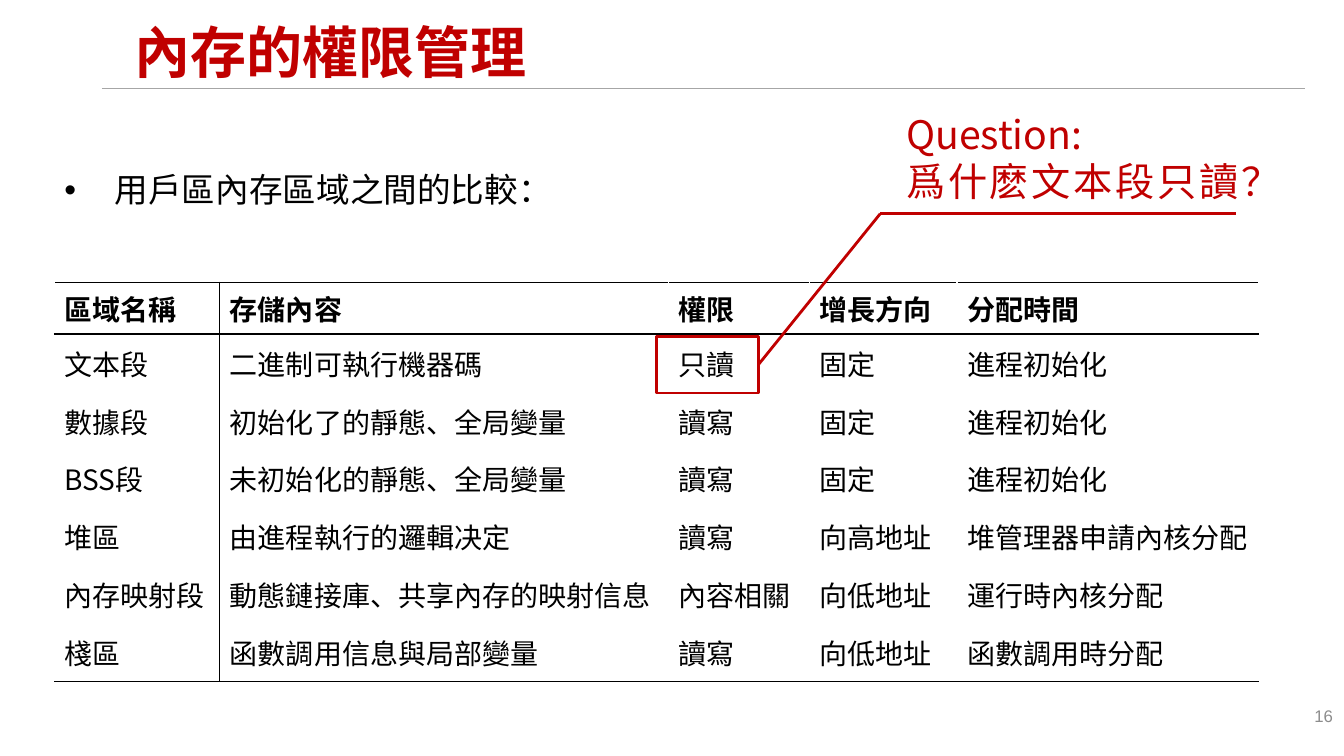
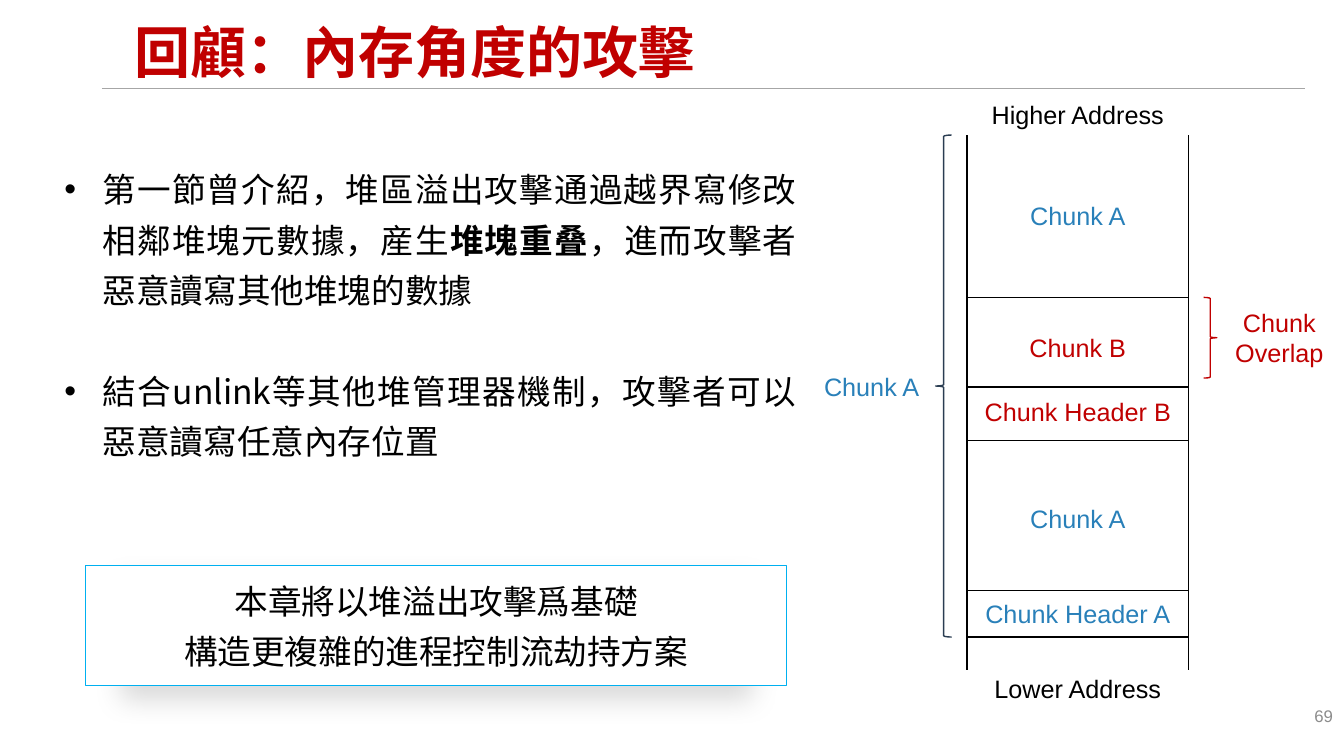
from dataclasses import dataclass

from lxml.etree import SubElement
from pptx import Presentation
from pptx.dml.color import RGBColor
from pptx.enum.lang import MSO_LANGUAGE_ID
from pptx.enum.shapes import MSO_CONNECTOR, MSO_SHAPE
from pptx.enum.text import MSO_ANCHOR, PP_ALIGN
from pptx.oxml.ns import qn
from pptx.util import Inches, Pt

BLACK = RGBColor(0x00, 0x00, 0x00)
WHITE = RGBColor(0xFF, 0xFF, 0xFF)
RED = RGBColor(0xC0, 0x00, 0x00)
BLUE = RGBColor(0x29, 0x80, 0xB9)
NAVY = RGBColor(0x2A, 0x3D, 0x52)
CYAN = RGBColor(0x00, 0xB0, 0xF0)
RULE_GRAY = RGBColor(0xA6, 0xA6, 0xA6)
NUMBER_GRAY = RGBColor(0x8C, 0x8C, 0x8C)

CJK_FONT = "Noto Sans CJK SC"
LATIN_FONT = "Arial"
BODY_SIZE = 24
BODY_SPACING = Pt(36)


@dataclass(frozen=True)
class Box:
    """A region in inches; its portions are given in percent of it."""
    left: float
    top: float
    width: float
    height: float

    def x(self, percent):
        return self.left + self.width * percent / 100

    def y(self, percent):
        return self.top + self.height * percent / 100

    def portion(self, left, top, width, height):
        return Box(self.x(left), self.y(top),
                   self.width * width / 100, self.height * height / 100)

    def emu(self):
        return [Inches(length) for length in
                (self.left, self.top, self.width, self.height)]


PAGE = Box(0, 0, 13.33, 7.5)

REGION_ROWS = [
    ["區域名稱", "存儲內容", "權限", "增長方向", "分配時間"],
    ["文本段", "二進制可執行機器碼", "只讀", "固定", "進程初始化"],
    ["數據段", "初始化了的靜態、全局變量", "讀寫", "固定", "進程初始化"],
    ["BSS段", "未初始化的靜態、全局變量", "讀寫", "固定", "進程初始化"],
    ["堆區", "由進程執行的邏輯决定", "讀寫", "向高地址", "堆管理器申請內核分配"],
    ["內存映射段", "動態鏈接庫、共享內存的映射信息", "內容相關", "向低地址", "運行時內核分配"],
    ["棧區", "函數調用信息與局部變量", "讀寫", "向低地址", "函數調用時分配"],
]
COLUMN_WIDTHS = [1.64, 4.45, 1.4, 1.46, 2.99]
HEADER_SHARE = 0.13

# Percent of the memory column's height
DIVIDERS = [30.32, 47.08, 57.06, 85.12, 93.79]
MEMORY_LABELS = [
    ("Higher Address", -3.95, BLACK),
    ("Chunk A", 15.07, BLUE),
    ("Chunk B", 39.74, RED),
    ("Chunk Header B", 51.6, RED),
    ("Chunk A", 71.56, BLUE),
    ("Chunk Header A", 89.45, BLUE),
    ("Lower Address", 103.39, BLACK),
]


def format_run(run, size, color, font_name, bold):
    font = run.font
    font.size = Pt(size)
    font.bold = bold
    font.color.rgb = color
    font.name = font_name
    if font_name == CJK_FONT:
        font.language_id = MSO_LANGUAGE_ID.SIMPLIFIED_CHINESE
        SubElement(run._r.get_or_add_rPr(), qn("a:ea"), typeface=font_name)


def set_bullet(paragraph, indent):
    properties = paragraph._p.get_or_add_pPr()
    properties.set("marL", str(Inches(indent)))
    properties.set("indent", str(-Inches(indent)))
    SubElement(properties, qn("a:buFont"), typeface=LATIN_FONT)
    SubElement(properties, qn("a:buChar"), char="•")


def write(frame, paragraphs, size, color=BLACK, font_name=CJK_FONT, bold=False,
          align=PP_ALIGN.LEFT, spacing=None, bullet_indent=None, gap=0):
    """Fill a frame; each paragraph is a string or a list of (text, bold)."""
    frame.word_wrap = True
    for index, content in enumerate(paragraphs):
        paragraph = frame.add_paragraph() if index else frame.paragraphs[0]
        if bullet_indent:
            set_bullet(paragraph, bullet_indent)
        paragraph.alignment = align
        if spacing:
            paragraph.line_spacing = spacing
        if index and gap:
            paragraph.space_before = gap
        pieces = [(content, bold)] if isinstance(content, str) else content
        for text, piece_bold in pieces:
            run = paragraph.add_run()
            run.text = text
            format_run(run, size, color, font_name, piece_bold)


def add_text(slide, box, paragraphs, size, anchor=MSO_ANCHOR.TOP, **style):
    frame = slide.shapes.add_textbox(*box.emu()).text_frame
    frame.vertical_anchor = anchor
    write(frame, paragraphs, size, **style)


def add_line(slide, start, end, color=BLACK, width=1):
    connector = slide.shapes.add_connector(
        MSO_CONNECTOR.STRAIGHT, *[Inches(length) for length in (*start, *end)])
    connector.line.color.rgb = color
    connector.line.width = Pt(width)
    SubElement(connector._element.spPr, qn("a:effectLst"))


def add_outline(slide, preset, box, color, width, fill=None):
    shape = slide.shapes.add_shape(preset, *box.emu())
    shape.shadow.inherit = False
    shape.line.color.rgb = color
    shape.line.width = Pt(width)
    if fill is None:
        shape.fill.background()
    else:
        shape.fill.solid()
        shape.fill.fore_color.rgb = fill
    return shape


def add_soft_shadow(shape):
    effects = shape._element.spPr.find(qn("a:effectLst"))
    shadow = SubElement(effects, qn("a:outerShdw"), blurRad=str(Pt(20)),
                        dist=str(Pt(10)), dir="5400000", sx="90000",
                        algn="b", rotWithShape="0")
    color = SubElement(shadow, qn("a:srgbClr"), val=str(BLACK))
    SubElement(color, qn("a:alpha"), val="15000")


def add_page(presentation, title, number):
    slide = presentation.slides.add_slide(presentation.slide_layouts[6])
    rule_y = PAGE.y(11.73)
    add_line(slide, (PAGE.x(7.58), rule_y), (PAGE.x(97.07), rule_y), RULE_GRAY)
    add_text(slide, PAGE.portion(9.3, 2, 83.87, 10.53), [title], 40,
             anchor=MSO_ANCHOR.MIDDLE, color=RED, bold=True, spacing=0.9)
    add_text(slide, PAGE.portion(76.59, 92.67, 23.33, 5.33), [number], 12,
             color=NUMBER_GRAY, font_name=LATIN_FONT, align=PP_ALIGN.RIGHT)
    return slide


def set_border(cell, side, color):
    line = SubElement(cell._tc.get_or_add_tcPr(), qn(f"a:ln{side}"),
                      w=str(Pt(1)))
    if color is None:
        SubElement(line, qn("a:noFill"))
    else:
        fill = SubElement(line, qn("a:solidFill"))
        SubElement(fill, qn("a:srgbClr"), val=str(color))


def style_cell(cell, row, column):
    """Rule off the header, the first column and the end of the table."""
    ruled = {"L": column == 1, "R": column == 0, "T": row <= 1,
             "B": row in (0, len(REGION_ROWS) - 1)}
    plain = WHITE if row == 0 else None
    for side, is_ruled in ruled.items():
        set_border(cell, side, BLACK if is_ruled else plain)
    cell.fill.solid()
    cell.fill.fore_color.rgb = WHITE
    cell.vertical_anchor = MSO_ANCHOR.MIDDLE


def add_region_table(slide, box):
    table = slide.shapes.add_table(
        len(REGION_ROWS), len(COLUMN_WIDTHS), *box.emu()).table
    table.horz_banding = False
    for column, width in zip(table.columns, COLUMN_WIDTHS):
        column.width = Inches(box.width * width / sum(COLUMN_WIDTHS))
    body_share = (1 - HEADER_SHARE) / (len(REGION_ROWS) - 1)
    for row_index, texts in enumerate(REGION_ROWS):
        share = body_share if row_index else HEADER_SHARE
        table.rows[row_index].height = Inches(box.height * share)
        for column_index, text in enumerate(texts):
            cell = table.cell(row_index, column_index)
            style_cell(cell, row_index, column_index)
            write(cell.text_frame, [text], 20, bold=row_index == 0)


def add_question_callout(slide, box):
    target = box.portion(0, 80.42, 17.12, 19.58)
    elbow = (box.x(37.63), box.y(37.76))
    add_outline(slide, MSO_SHAPE.RECTANGLE, target, RED, 2)
    add_line(slide, (target.x(100), target.y(50)), elbow, RED, 2)
    add_line(slide, elbow, (box.x(97.46), elbow[1]), RED, 2)
    add_text(slide, box.portion(40.34, 0, 59.66, 36.36),
             ["Question:", "爲什麽文本段只讀？"], 28,
             color=RED, align=PP_ALIGN.JUSTIFY)


def add_memory_label(slide, column, paragraphs, center, color,
                     left=0, width=100):
    height = 7.53 * len(paragraphs)
    add_text(slide, column.portion(left, center - height / 2, width, height),
             paragraphs, 18, anchor=MSO_ANCHOR.MIDDLE, color=color,
             font_name=LATIN_FONT, align=PP_ALIGN.CENTER)


def add_memory_column(slide, column):
    for side in (0, 100):
        add_line(slide, (column.x(side), column.y(0)),
                 (column.x(side), column.y(100)))
    for divider in DIVIDERS:
        add_line(slide, (column.x(0), column.y(divider)),
                 (column.x(100), column.y(divider)))
    for text, center, color in MEMORY_LABELS:
        add_memory_label(slide, column, [text], center, color)

    whole_end, overlap_start, overlap_end = DIVIDERS[-1], DIVIDERS[0], 45.39
    add_outline(slide, MSO_SHAPE.LEFT_BRACE,
                column.portion(-14.09, 0, 7.27, whole_end), NAVY, 1)
    add_memory_label(slide, column, ["Chunk A"], whole_end / 2, BLUE,
                     left=-70.45, width=55)
    add_outline(slide, MSO_SHAPE.RIGHT_BRACE,
                column.portion(106.82, overlap_start, 5.91,
                               overlap_end - overlap_start), RED, 1)
    add_memory_label(slide, column, ["Chunk", "Overlap"],
                     (overlap_start + overlap_end) / 2, RED,
                     left=112.73, width=56.36)


def add_conclusion(slide, box):
    panel = add_outline(slide, MSO_SHAPE.RECTANGLE, box, CYAN, 0.5, WHITE)
    add_soft_shadow(panel)
    panel.text_frame.vertical_anchor = MSO_ANCHOR.TOP
    write(panel.text_frame,
          ["本章將以堆溢出攻擊爲基礎", "構造更複雜的進程控制流劫持方案"],
          BODY_SIZE, align=PP_ALIGN.CENTER, spacing=BODY_SPACING)


def build_permission_slide(presentation):
    slide = add_page(presentation, "內存的權限管理", "16")
    add_text(slide, PAGE.portion(4.05, 21.73, 52.44, 6.67),
             ["用戶區內存區域之間的比較："], BODY_SIZE,
             align=PP_ALIGN.JUSTIFY, bullet_indent=0.5)
    add_region_table(slide, PAGE.portion(4.05, 37.33, 89.6, 52.8))
    add_question_callout(slide, PAGE.portion(48.84, 13.87, 44.26, 38.13))


def build_attack_slide(presentation):
    slide = add_page(presentation, "回顧：內存角度的攻擊", "69")
    add_text(slide, PAGE.portion(4.05, 20.4, 55.96, 41.07), [
        [("第一節曾介紹，堆區溢出攻擊通過越界寫修改相鄰堆塊元數據，産生", False),
         ("堆塊重叠", True),
         ("，進而攻擊者惡意讀寫其他堆塊的數據", False)],
        "結合unlink等其他堆管理器機制，攻擊者可以惡意讀寫任意內存位置",
    ], BODY_SIZE, align=PP_ALIGN.JUSTIFY, spacing=BODY_SPACING,
        bullet_indent=0.38, gap=BODY_SPACING)
    add_conclusion(slide, PAGE.portion(6.38, 74.8, 52.14, 15.87))
    add_memory_column(slide, PAGE.portion(71.94, 17.87, 16.5, 70.8))


def main():
    presentation = Presentation()
    presentation.slide_width = Inches(PAGE.width)
    presentation.slide_height = Inches(PAGE.height)
    build_permission_slide(presentation)
    build_attack_slide(presentation)
    presentation.save("out.pptx")


if __name__ == "__main__":
    main()
